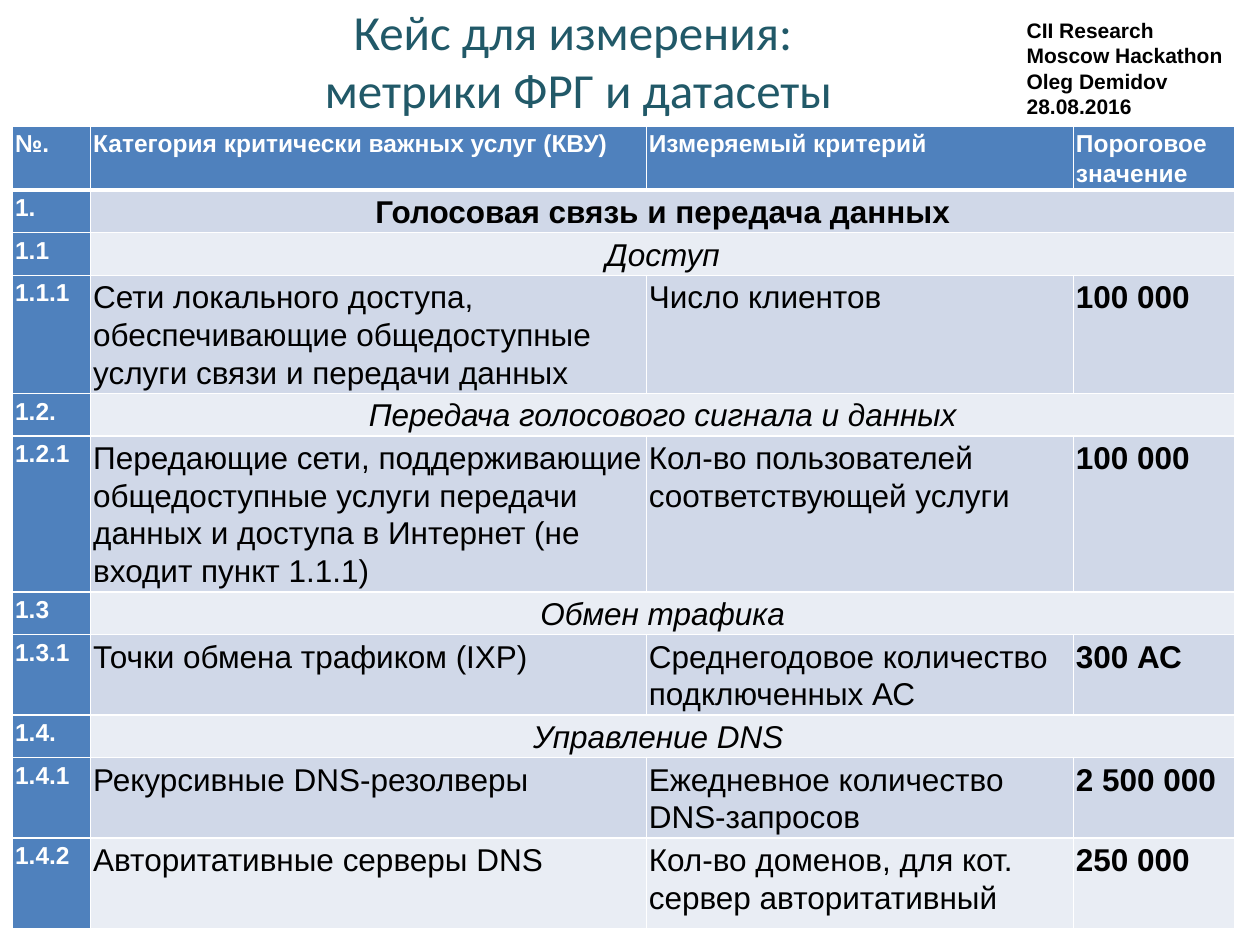
import pptx
import pptx.dml.color
import pptx.enum.text
import pptx.oxml
import pptx.oxml.ns
import pptx.util

RGBColor = pptx.dml.color.RGBColor
Inches = pptx.util.Inches
Pt = pptx.util.Pt
ALIGN = pptx.enum.text.PP_ALIGN
MIDDLE = pptx.enum.text.MSO_ANCHOR.MIDDLE

WHITE = RGBColor(0xFF, 0xFF, 0xFF)
BLACK = RGBColor(0, 0, 0)
TEAL = RGBColor(0x21, 0x59, 0x68)
BLUE = RGBColor(0x4F, 0x81, 0xBD)
BAND_DARK = RGBColor(0xD0, 0xD8, 0xE8)
BAND_LIGHT = RGBColor(0xE9, 0xED, 0xF4)

SLIDE_BOX = (10, 7.5)
TITLE_BOX = (0.85, -0.05, 7.48, 1.05)
CREDIT_BOX = (8.05, 0, 2.06, 1.08)
TABLE_BOX = (0.1, 1, 9.7, 5.69)
COLUMN_SHARES = (0.62, 4.41, 3.39, 1.28)
ROW_SHARES = (0.43, 0.29, 0.29, 0.84, 0.29, 1.11, 0.29, 0.57, 0.29, 0.57, 0.72)

TITLE_LINES = ("Кейс для измерения: ", "метрики ФРГ и датасеты")
CREDIT_LINES = ("CII Research", "Moscow Hackathon", "Oleg Demidov", "28.08.2016")
METRICS = (
    ("№.", "Категория критически важных услуг (КВУ)", "Измеряемый критерий", "Пороговое значение"),
    ("1.", "Голосовая связь и передача данных"),
    ("1.1", "Доступ"),
    ("1.1.1", "Сети локального доступа, обеспечивающие общедоступные услуги связи и передачи данных",
     "Число клиентов", "100 000"),
    ("1.2.", "Передача голосового сигнала и данных"),
    ("1.2.1", "Передающие сети, поддерживающие общедоступные услуги передачи данных "
     "и доступа в Интернет (не входит пункт 1.1.1)",
     "Кол-во пользователей соответствующей услуги", "100 000"),
    ("1.3", "Обмен трафика"),
    ("1.3.1", "Точки обмена трафиком (IXP)", "Среднегодовое количество подключенных АС", "300 АС"),
    ("1.4.", "Управление DNS "),
    ("1.4.1", "Рекурсивные DNS-резолверы", "Ежедневное количество DNS-запросов", "2 500 000"),
    ("1.4.2", "Авторитативные серверы DNS", "Кол-во доменов, для кот. сервер авторитативный", "250 000"),
)


def write_lines(frame, lines, font, size, color, bold=False, italic=False, align=ALIGN.LEFT, spacing=None):
    """Write each line as a paragraph with one formatted run."""
    for index, line in enumerate(lines):
        paragraph = frame.add_paragraph() if index else frame.paragraphs[0]
        paragraph.alignment = align
        paragraph.line_spacing = spacing
        run = paragraph.add_run()
        run.text = line
        run.font.name = font
        run.font.size = Pt(size)
        run.font.color.rgb = color
        run.font.bold = bold
        run.font.italic = italic


def place_title(slide, box):
    """Place the heading in the title placeholder."""
    title = slide.shapes.title
    title.left, title.top, title.width, title.height = map(Inches, box)
    title.text_frame.vertical_anchor = MIDDLE
    write_lines(title.text_frame, TITLE_LINES, "Calibri", 28, TEAL, align=ALIGN.CENTER)


def place_credit(slide, box):
    """Place the event, author and date in the corner."""
    frame = slide.shapes.add_textbox(*map(Inches, box)).text_frame
    frame.word_wrap = False
    frame.vertical_anchor = MIDDLE
    write_lines(frame, CREDIT_LINES, "Arial", 12, BLACK, bold=True)


def border_cell(cell, widths):
    """Draw white borders with widths in points for the given sides."""
    properties = cell._tc.get_or_add_tcPr()
    for position, (side, width) in enumerate(widths.items()):
        properties.insert(position, pptx.oxml.parse_xml(
            f'<a:ln{side} {pptx.oxml.ns.nsdecls("a")} w="{Pt(width)}">'
            f'<a:solidFill><a:srgbClr val="{WHITE}"/></a:solidFill></a:ln{side}>'))


def format_cell(cell, text, fill, is_header, **style):
    """Fill one table cell and write its text."""
    cell.margin_left = cell.margin_right = cell.margin_top = cell.margin_bottom = Inches(0.02)
    cell.fill.solid()
    cell.fill.fore_color.rgb = fill
    border_cell(cell, {"L": 1, "R": 1, "T": 1, "B": 3 if is_header else 1})
    write_lines(cell.text_frame, [text], "Arial", spacing=1.07, **style)


def place_metrics(slide, box):
    """Place the table of services, criteria and thresholds."""
    left, top, width, height = box
    table = slide.shapes.add_table(len(METRICS), len(COLUMN_SHARES), *map(Inches, box)).table
    for column, share in zip(table.columns, COLUMN_SHARES):
        column.width = Inches(width * share / sum(COLUMN_SHARES))
    for row, share in zip(table.rows, ROW_SHARES):
        row.height = Inches(height * share / sum(ROW_SHARES))
    last = len(COLUMN_SHARES) - 1
    for r, entries in enumerate(METRICS):
        is_header, is_section = r == 0, len(entries) == 2
        band = BAND_DARK if r % 2 else BAND_LIGHT
        if is_section:
            table.cell(r, 1).merge(table.cell(r, last))
            border_cell(table.cell(r, last), {"R": 1, "T": 1, "B": 1})
        for c, text in enumerate(entries):
            is_label = is_header or c == 0
            is_group = is_section and c == 1
            format_cell(
                table.cell(r, c), text, BLUE if is_label else band, is_header,
                size=14 if is_label else 18,
                color=WHITE if is_label else BLACK,
                bold=is_label or c == last or (is_group and r == 1),
                italic=is_group and r > 1,
                align=ALIGN.CENTER if is_group else ALIGN.LEFT)


def main():
    """Build the slide and save it."""
    deck = pptx.Presentation()
    deck.slide_width, deck.slide_height = map(Inches, SLIDE_BOX)
    slide = deck.slides.add_slide(deck.slide_layouts.get_by_name("Title Only"))
    place_title(slide, TITLE_BOX)
    place_metrics(slide, TABLE_BOX)
    place_credit(slide, CREDIT_BOX)
    deck.save("out.pptx")


if __name__ == "__main__":
    main()
